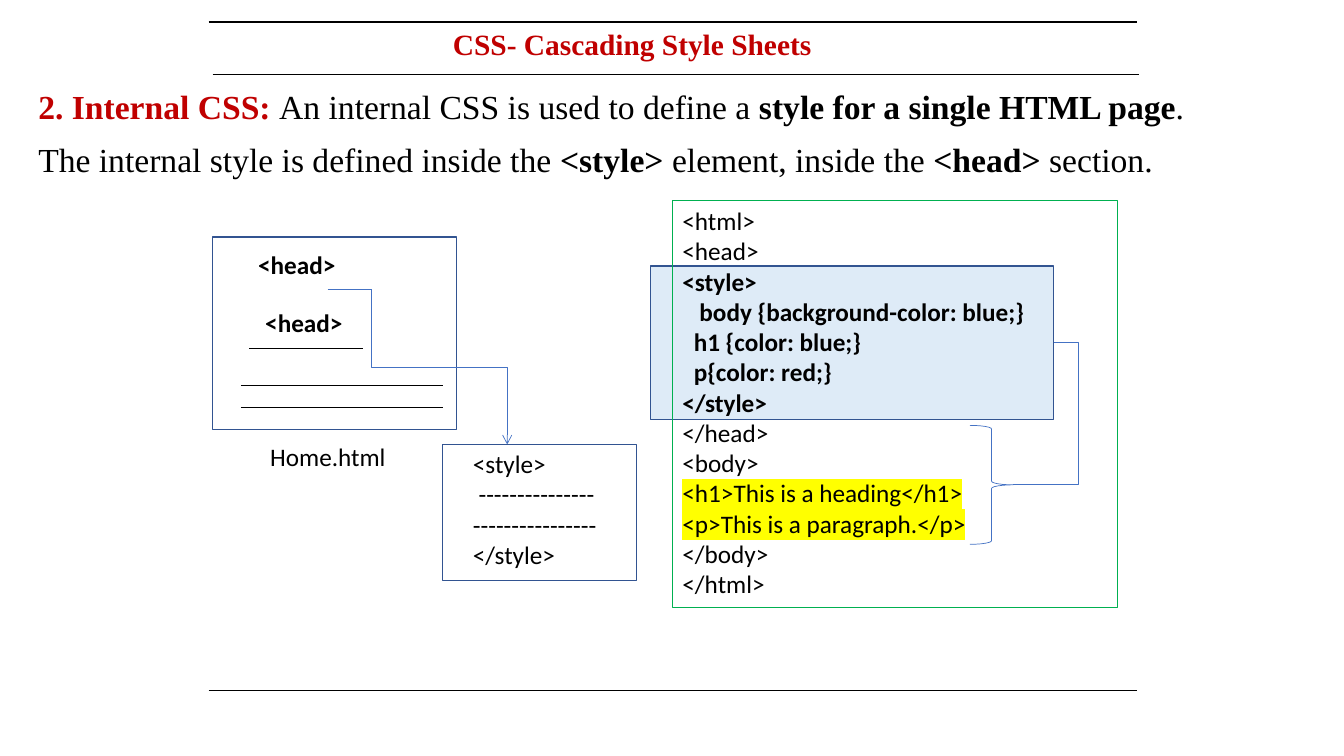
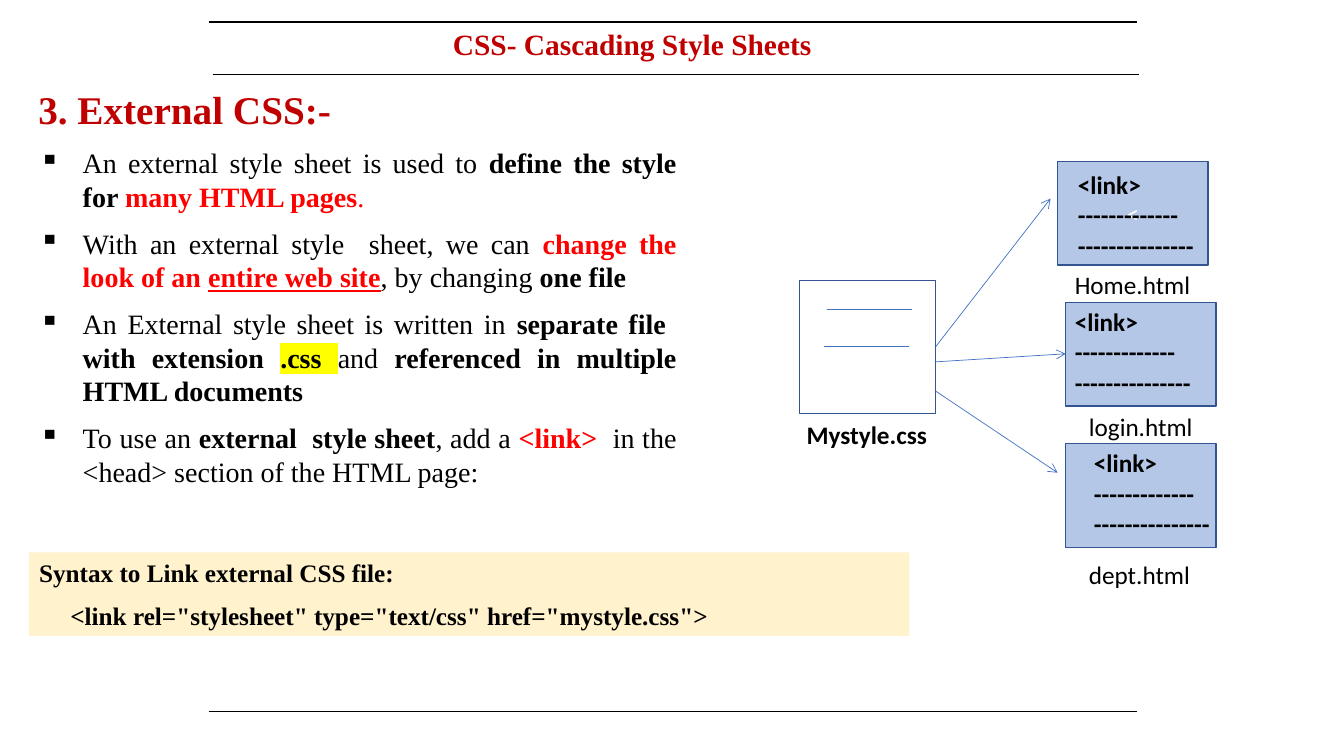
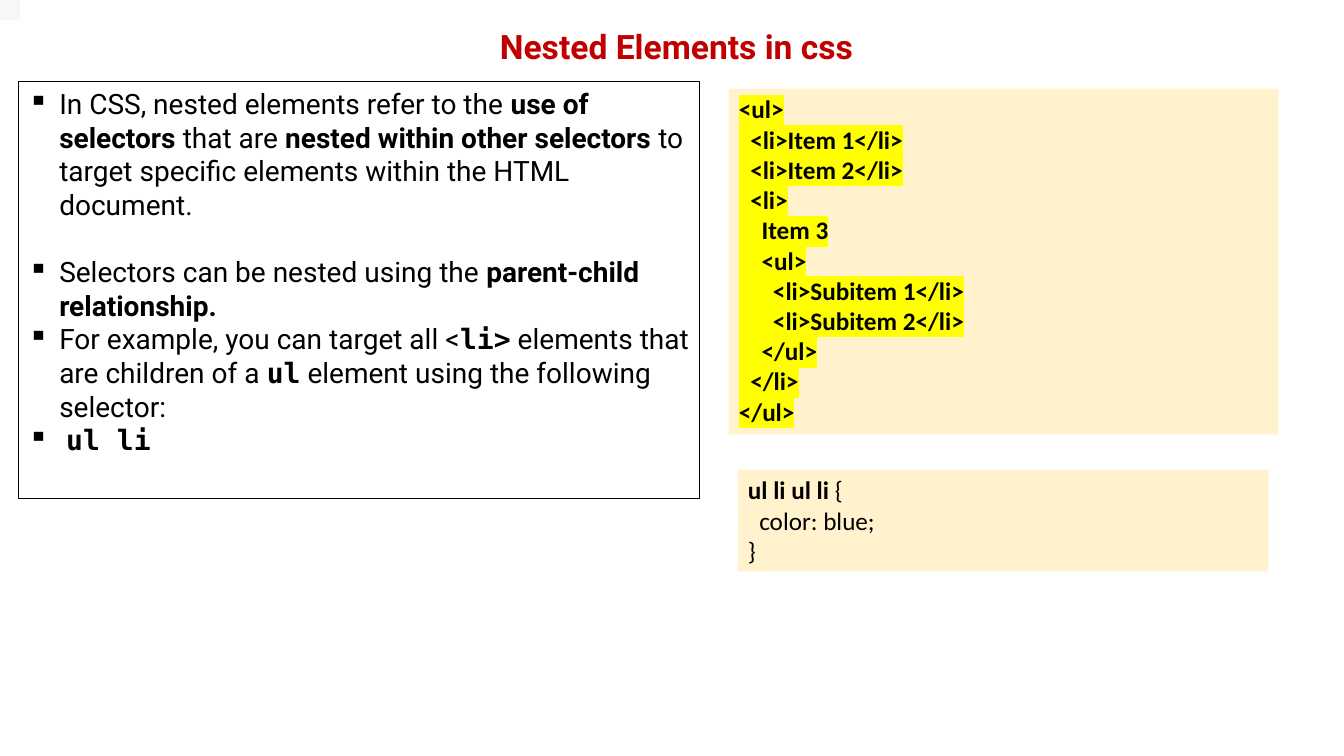
from pptx import Presentation
from pptx.dml.color import RGBColor
from pptx.enum.shapes import MSO_CONNECTOR, MSO_SHAPE
from pptx.enum.text import MSO_ANCHOR, MSO_AUTO_SIZE, PP_ALIGN
from pptx.oxml.ns import qn
from pptx.util import Inches, Pt
from lxml.etree import SubElement

SERIF, SANS, ROBOTO, MONO = "Times New Roman", "Calibri", "Roboto", "DejaVu Sans Mono"
BLACK, WHITE, RED, DARK_RED = "000000", "FFFFFF", "FF0000", "C00000"
BLUE, NAVY, GREEN = "4472C4", "325491", "00B050"
PALE_BLUE, PAGE_BLUE, CREAM, YELLOW = "DEEBF7", "B4C7E7", "FFF2CC", "FFFF00"
PALE_GREY = "F7F7F8"

BOLD = {"bold": True}
BOLD_RED = {"bold": True, "color": RED}
CODE = {"bold": True, "font": MONO}
HEADING = {"size": 21, "font": SERIF}
CODE_MARGINS = (0.1, 0.05)


def rgb(value):
    """Turn a hex string into a colour."""
    return RGBColor.from_string(value)


def format_run(run, size=18, font=SANS, color=BLACK, bold=False,
               underline=False, highlight=None):
    """Apply character format to a run."""
    run.font.size = Pt(size)
    run.font.bold = bold
    run.font.underline = underline or None
    run.font.color.rgb = rgb(color)
    if highlight:
        mark = SubElement(run.font._element, qn("a:highlight"))
        SubElement(mark, qn("a:srgbClr"), val=highlight)
    run.font.name = font


def write(shape, paragraphs, align=PP_ALIGN.LEFT, space_before=0, bullet=None,
          indent=(0, 0), **style):
    """Append paragraphs; each is a string or a list of strings and (text, style)."""
    frame = shape.text_frame
    for content in paragraphs:
        paragraph = frame.add_paragraph() if frame.text else frame.paragraphs[0]
        paragraph.alignment = align
        paragraph.space_before = Pt(space_before)
        properties = paragraph._p.get_or_add_pPr()
        properties.set("marL", str(Inches(indent[0])))
        properties.set("indent", str(Inches(indent[1])))
        if bullet:
            SubElement(properties, qn("a:buChar"), char=bullet)
        for part in [content] if isinstance(content, str) else content:
            text, changes = (part, {}) if isinstance(part, str) else part
            run = paragraph.add_run()
            run.text = text
            format_run(run, **{**style, **changes})


def set_frame(shape, wrap=True, margins=(0.09, 0.04), anchor=MSO_ANCHOR.TOP):
    """Set wrapping, margins and anchor of a text frame."""
    frame = shape.text_frame
    frame.word_wrap = wrap
    frame.auto_size = MSO_AUTO_SIZE.NONE if wrap else MSO_AUTO_SIZE.SHAPE_TO_FIT_TEXT
    frame.margin_left = frame.margin_right = Inches(margins[0])
    frame.margin_top = frame.margin_bottom = Inches(margins[1])
    frame.vertical_anchor = anchor


def add_box(slide, place, fill=None, line=None, width=1,
            kind=MSO_SHAPE.RECTANGLE, **frame):
    """Add a preset shape with optional fill and outline."""
    shape = slide.shapes.add_shape(kind, *map(Inches, place))
    shape.shadow.inherit = False
    if fill:
        shape.fill.solid()
        shape.fill.fore_color.rgb = rgb(fill)
    else:
        shape.fill.background()
    if line:
        shape.line.color.rgb = rgb(line)
        shape.line.width = Pt(width)
    else:
        shape.line.fill.background()
    set_frame(shape, **frame)
    return shape


def add_label(slide, place, paragraphs, wrap=False, **style):
    """Add a text box holding the paragraphs."""
    box = slide.shapes.add_textbox(*map(Inches, place))
    set_frame(box, wrap=wrap)
    write(box, paragraphs, **style)
    return box


def add_line(slide, start, end, color=BLACK, width=0.5, arrow=False):
    """Add a straight connector."""
    return style_line(slide.shapes.add_connector(
        MSO_CONNECTOR.STRAIGHT, *map(Inches, start + end)), color, width, arrow)


def add_elbow(slide, start, end, bend=0.5, vertical_first=False, arrow=False):
    """Add an elbow connector that leaves sideways, or vertically on request."""
    (left, top), (right, bottom) = start, end
    if vertical_first:
        middle_x, middle_y = (left + right) / 2, (top + bottom) / 2
        half_run, half_rise = (bottom - top) / 2, (right - left) / 2
        start = (middle_x + half_run, middle_y - half_rise)
        end = (middle_x - half_run, middle_y + half_rise)
    connector = slide.shapes.add_connector(
        MSO_CONNECTOR.ELBOW, *map(Inches, start + end))
    properties = connector._element.spPr
    if vertical_first:
        properties.find(qn("a:xfrm")).set("rot", str(270 * 60000))
    guides = properties.find(qn("a:prstGeom")).get_or_add_avLst()
    SubElement(guides, qn("a:gd"), name="adj1", fmla=f"val {round(bend * 100000)}")
    return style_line(connector, BLUE, 0.5, arrow)


def style_line(connector, color, width, arrow):
    """Colour a connector, remove its shadow and add an arrowhead if asked."""
    connector.line.color.rgb = rgb(color)
    connector.line.width = Pt(width)
    if arrow:
        SubElement(connector.line._get_or_add_ln(), qn("a:tailEnd"), type="arrow")
    SubElement(connector._element.spPr, qn("a:effectLst"))
    return connector


def add_slide(presentation, title, place, wrap=False, **style):
    """Add a title-only slide with its title placed and formatted."""
    slide = presentation.slides.add_slide(presentation.slide_layouts[5])
    heading = slide.shapes.title
    heading.left, heading.top, heading.width, heading.height = map(Inches, place)
    set_frame(heading, wrap=wrap)
    write(heading, [title], align=PP_ALIGN.CENTER, color=DARK_RED, bold=True, **style)
    return slide


def add_ruled_slide(presentation, bottom):
    """Add a slide with the chapter title between rules and a rule at the bottom."""
    slide = add_slide(presentation, "CSS- Cascading Style Sheets",
                      (4.39, 0.22, 3.76, 0.44), **HEADING)
    for top in (0.22, bottom):
        add_line(slide, (2.07, top), (11.28, top), width=0.96)
    add_line(slide, (2.11, 0.74), (11.3, 0.74))
    return slide


def build_internal(presentation):
    """Build the slide on internal CSS."""
    slide = add_ruled_slide(presentation, 6.85)
    add_label(slide, (0.28, 0.81, 12.94, 1.02), [
        [("2. Internal CSS: ", {"bold": True, "color": DARK_RED}),
         "An internal CSS is used to define a ",
         ("style for a single HTML page", BOLD), "."],
        ["The internal style is defined inside the ", ("<style> ", BOLD),
         "element, inside the ", ("<head> ", BOLD), "section."],
    ], wrap=True, size=24, font=SERIF, align=PP_ALIGN.JUSTIFY,
        space_before=9.4, indent=(0.44, -0.43))

    add_box(slide, (2.11, 2.35, 2.42, 1.91), WHITE, NAVY)
    for left, top in ((2.47, 2.43), (2.54, 3.01)):
        add_label(slide, (left, top, 0.95, 0.39), ["<head>"], bold=True)
    add_elbow(slide, (3.68, 2.87), (5.03, 4.41), vertical_first=True, arrow=True)
    add_line(slide, (3.25, 2.87), (3.68, 2.87), BLUE)
    add_box(slide, (4.39, 4.41, 1.92, 1.35), WHITE, NAVY)
    add_label(slide, (4.6, 4.41, 1.41, 1.3),
              ["<style>", " " + "-" * 15, "-" * 16, "</style>"])
    for left, right, top in ((2.39, 4.39, 3.82), (2.39, 4.39, 4.04), (2.47, 3.6, 3.46)):
        add_line(slide, (left, top), (right, top))
    add_label(slide, (2.59, 4.34, 1.33, 0.39), ["Home.html"])

    add_box(slide, (6.45, 2.64, 4, 1.52), PALE_BLUE, NAVY)
    listing = add_box(slide, (6.67, 1.99, 4.41, 4.04), line=GREEN, width=0.75,
                      margins=CODE_MARGINS)
    write(listing, ["<html>", "<head>"])
    write(listing, ["<style>", "   body {background-color: blue;}",
                    "  h1 {color: blue;}", "  p{color: red;}", "</style>"], bold=True)
    write(listing, ["</head>", "<body>"])
    write(listing, ["<h1>This is a heading</h1>", "<p>This is a paragraph.</p>"],
          highlight=YELLOW)
    write(listing, ["</body>", "</html>"])
    add_box(slide, (9.62, 4.22, 0.43, 1.18), line=BLUE, width=0.5,
            kind=MSO_SHAPE.RIGHT_BRACE)
    add_elbow(slide, (10.45, 3.4), (10.05, 4.81), bend=-0.62)


def add_linked_pages(slide):
    """Draw the style sheet and the three pages that link to it."""
    add_box(slide, (7.93, 2.78, 1.35, 1.32), WHITE, NAVY)
    for left, top in ((8.2, 3.07), (8.17, 3.44)):
        add_line(slide, (left, top), (left + 0.85, top), BLUE)
    add_label(slide, (7.91, 4.12, 1.38, 0.39), ["Mystyle.css"], bold=True)

    pages = [  # name, page corner, text corner, name corner, arrow start and end
        ("Home.html", (10.49, 1.6), (10.6, 1.64), (10.57, 2.63), (9.28, 3.44), (10.42, 1.97)),
        ("login.html", (10.57, 3), (10.57, 3), (10.71, 4.04), (9.28, 3.59), (10.57, 3.51)),
        ("dept.html", (10.57, 4.4), (10.76, 4.4), (10.71, 5.51), (9.28, 3.88), (10.49, 4.69)),
    ]
    for name, page_at, text_at, name_at, start, end in pages:
        page = add_box(slide, page_at + (1.49, 1.03), PAGE_BLUE, NAVY,
                       anchor=MSO_ANCHOR.MIDDLE)
        if name == "Home.html":
            write(page, ["<"], color=WHITE, align=PP_ALIGN.CENTER)
        add_label(slide, text_at + (1.36, 1.01),
                  ["<link>", "-" * 13, "-" * 15], bold=True)
        add_label(slide, name_at + (1.33, 0.39), [name])
        add_line(slide, start, end, BLUE, arrow=True)


def build_external(presentation):
    """Build the slide on external CSS."""
    slide = add_ruled_slide(presentation, 7.06)
    body = {"font": SERIF, "align": PP_ALIGN.JUSTIFY, "space_before": 9.4}
    notes = add_label(slide, (0.29, 0.81, 6.51, 5.02), ["3. External CSS:-"],
                      wrap=True, size=28, color=DARK_RED, bold=True, **body)
    write(notes, [
        ["An external style sheet is used to ", ("define the style for ", BOLD),
         ("many HTML pages", BOLD_RED), (".", {"color": RED})],
        ["With an external style  sheet, we can ", ("change the look of an ", BOLD_RED),
         ("entire web site", {**BOLD_RED, "underline": True}),
         ", by changing ", ("one file", BOLD)],
        ["An External style sheet is written in ",
         ("separate file  with extension ", BOLD),
         (".css ", {"bold": True, "highlight": YELLOW}), "and ",
         ("referenced in multiple HTML documents", BOLD)],
        ["To use an ", ("external  style sheet", BOLD), ", add a ",
         ("<link>  ", BOLD_RED), "in the <head> section of the HTML page:"],
    ], size=20, bullet="▪", indent=(0.44, -0.43), **body)
    add_linked_pages(slide)
    syntax = add_box(slide, (0.29, 5.48, 8.73, 0.83), CREAM, margins=CODE_MARGINS)
    style = {"font": SERIF, "bold": True, "space_before": 9.4}
    write(syntax, ["Syntax to Link external CSS file:"], **style)
    write(syntax, ['<link rel="stylesheet" type="text/css" href="mystyle.css">'],
          indent=(0.31, 0), **style)


def build_nested(presentation):
    """Build the slide on nested elements."""
    slide = add_slide(presentation, "Nested Elements in css",
                      (0.35, 0.22, 12.72, 0.49), wrap=True, size=24, font=ROBOTO)
    notes = add_box(slide, (0.18, 0.81, 6.76, 4.14), line=BLACK, width=0.75,
                    margins=CODE_MARGINS)
    style = {"size": 20, "font": ROBOTO, "bullet": "▪", "indent": (0.31, -0.31)}
    write(notes, [["In CSS, nested elements refer to the ", ("use of selectors ", BOLD),
                   "that are ", ("nested within other selectors ", BOLD),
                   "to target specific elements within the HTML document."]], **style)
    write(notes, [["Selectors can be nested using the ",
                   ("parent-child relationship.", BOLD)]], space_before=24, **style)
    write(notes, [
        ["For example, you can target all <", ("li>", CODE),
         " elements that are children of a ", ("ul", CODE),
         " element using the following selector:"],
        [" ", ("ul li", CODE)],
    ], **style)

    markup = add_box(slide, (7.23, 0.88, 5.45, 3.43), CREAM, margins=CODE_MARGINS)
    write(markup, ["<ul>", "  <li>Item 1</li>", "  <li>Item 2</li>", "  <li>",
                   "    Item 3", "    <ul>", "      <li>Subitem 1</li>",
                   "      <li>Subitem 2</li>", "    </ul>", "  </li>", "</ul>"],
          bold=True, highlight=YELLOW)
    add_box(slide, (0, 0, 0.2, 0.2), PALE_GREY)
    rule = add_box(slide, (7.32, 4.66, 5.26, 1.01), CREAM, margins=CODE_MARGINS)
    write(rule, [[("ul li ul li ", BOLD), "{"], "  color: blue;", "}"])


def main():
    """Build and save the presentation."""
    presentation = Presentation()
    presentation.slide_width = Inches(13.33)
    presentation.slide_height = Inches(7.5)
    build_internal(presentation)
    build_external(presentation)
    build_nested(presentation)
    presentation.save("out.pptx")


main()
